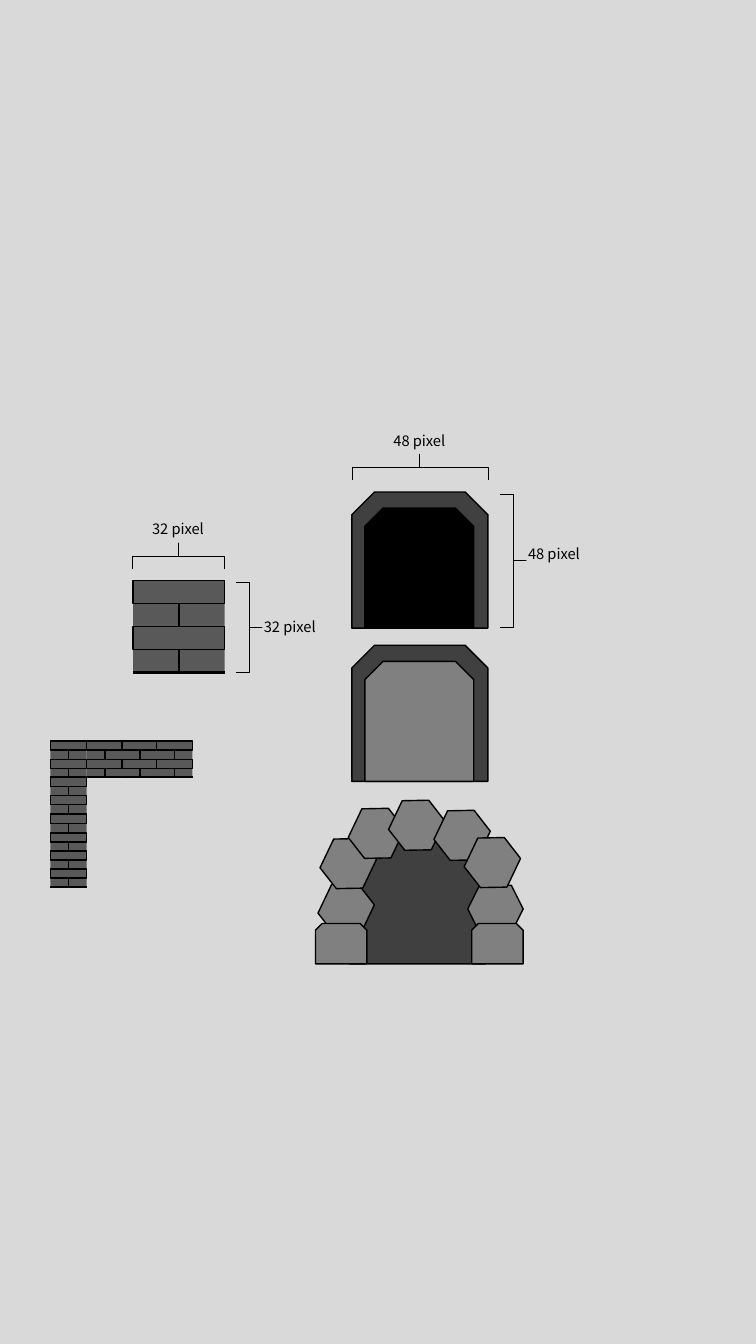
from dataclasses import dataclass

from lxml.etree import SubElement
from pptx import Presentation
from pptx.dml.color import RGBColor
from pptx.enum.shapes import MSO_CONNECTOR, MSO_SHAPE
from pptx.enum.text import MSO_AUTO_SIZE, PP_ALIGN
from pptx.oxml.ns import qn
from pptx.util import Inches, Pt


# Colours, type and line widths
@dataclass(frozen=True)
class Theme:
    back: str = "D9D9D9"
    ink: str = "000000"
    brick: str = "595959"
    frame: str = "404040"
    stone: str = "808080"
    font: str = "Noto Sans CJK KR"
    size: float = 10.5
    thin: float = 0.5
    edge: float = 1
    base: float = 1.5


THEME = Theme()
SNIP = MSO_SHAPE.SNIP_2_SAME_RECTANGLE


def paint(fill, color):
    fill.solid()
    fill.fore_color.rgb = RGBColor.from_string(color)


def apply(target, form):
    for name, value in form.items():
        setattr(target, name, value)


def stroke(line, width):
    paint(line.fill, THEME.ink)
    line.width = Pt(width)


# Basic elements
def block(group, kind, box, fill=None, width=None, turn=0):
    shape = group.shapes.add_shape(kind, *map(Inches, box))
    shape.shadow.inherit = False
    shape.rotation = turn
    if fill:
        paint(shape.fill, fill)
    else:
        shape.fill.background()
    if width:
        stroke(shape.line, width)
    else:
        shape.line.fill.background()
    return shape


def rule(group, start, end, width):
    line = group.shapes.add_connector(
        MSO_CONNECTOR.STRAIGHT, *map(Inches, (*start, *end)))
    stroke(line.line, width)
    SubElement(line._element.spPr, qn("a:effectLst"))
    return line


def label(group, text, box):
    frame = group.shapes.add_textbox(*map(Inches, box)).text_frame
    apply(frame, {"word_wrap": True, "auto_size": MSO_AUTO_SIZE.SHAPE_TO_FIT_TEXT,
                  "margin_left": 0, "margin_right": 0})
    para = frame.paragraphs[0]
    para.alignment = PP_ALIGN.CENTER
    run = para.add_run()
    run.text = text
    apply(run.font, {"name": THEME.font, "size": Pt(THEME.size)})
    run.font.color.rgb = RGBColor.from_string(THEME.ink)


# Square tile of four brick rows, every second row split by a joint
def tile(group, left, top, side):
    row = side / 4
    bricks = {}
    for index in (3, 1, 0, 2):
        bricks[index] = block(
            group, MSO_SHAPE.RECTANGLE, (left, top + index * row, side, row),
            THEME.brick, None if index % 2 else THEME.edge)
    mid = left + side / 2
    for index in (1, 3):
        joint = rule(group, (mid, top + index * row),
                     (mid, top + (index + 1) * row), THEME.edge)
        joint.begin_connect(bricks[index], 0)
        joint.end_connect(bricks[index], 2)
    rule(group, (left, top + side), (left + side, top + side), THEME.base)


# Square bracket with a size label
def measure(slide, text, brace, turn, box):
    group = slide.shapes.add_group_shape()
    shape = block(group, MSO_SHAPE.RIGHT_BRACE, brace, None, THEME.thin, turn)
    shape.adjustments[0] = 0
    shape.adjustments[1] = 0.496
    label(group, text, box)


# Framed doorway
def door(slide, top, fill):
    group = slide.shapes.add_group_shape()
    block(group, SNIP, (3.49, top, 1.35, 1.35), THEME.frame, THEME.edge)
    block(group, SNIP, (3.62, top + 0.16, 1.08, 1.19), fill, THEME.edge)


# Cave mouth ringed with stones
def cave(slide):
    group = slide.shapes.add_group_shape()
    block(group, SNIP, (3.47, 8.21, 1.35, 1.35), THEME.frame, THEME.edge)
    tilt = 295.5
    stones = [(3.16, 8.78, tilt), (4.64, 8.78, 0), (3.18, 8.33, tilt),
              (3.46, 8.03, tilt), (3.86, 7.95, tilt), (4.31, 8.05, tilt),
              (4.61, 8.32, tilt)]
    for left, top, turn in stones:
        block(group, MSO_SHAPE.HEXAGON, (left, top, 0.55, 0.47),
              THEME.stone, THEME.edge, turn)
    for left in (3.13, 4.68):
        block(group, SNIP, (left, 9.16, 0.51, 0.4), THEME.stone, THEME.edge)


def main():
    deck = Presentation()
    apply(deck, {"slide_width": Inches(7.5), "slide_height": Inches(13.33)})
    slide = deck.slides.add_slide(deck.slide_layouts[6])
    paint(slide.background.fill, THEME.back)

    # Corner wall of small tiles
    wall = slide.shapes.add_group_shape()
    for left, top in [(0.86, 7.35), (0.5, 7.35), (0.5, 7.71), (0.5, 8.08),
                      (0.5, 8.44), (1.21, 7.35), (1.55, 7.35)]:
        tile(wall, left, top, 0.36)

    # Large tile
    tile(slide.shapes.add_group_shape(), 1.32, 5.76, 0.91)

    # Sizes
    measure(slide, "32 pixel", (2.34, 5.78, 0.26, 0.89), 0, (2.5, 6.08, 0.75, 0.28))
    measure(slide, "32 pixel", (1.64, 5.06, 0.26, 0.91), 270, (1.39, 5.11, 0.75, 0.28))
    measure(slide, "48 pixel", (4.96, 4.9, 0.26, 1.32), 0, (5.12, 5.35, 0.75, 0.41))
    measure(slide, "48 pixel", (4.04, 3.96, 0.26, 1.35), 270, (3.6, 4.23, 1.12, 0.28))

    # Doors and cave
    door(slide, 4.88, THEME.ink)
    door(slide, 6.4, THEME.stone)
    cave(slide)

    deck.save("out.pptx")


if __name__ == "__main__":
    main()
